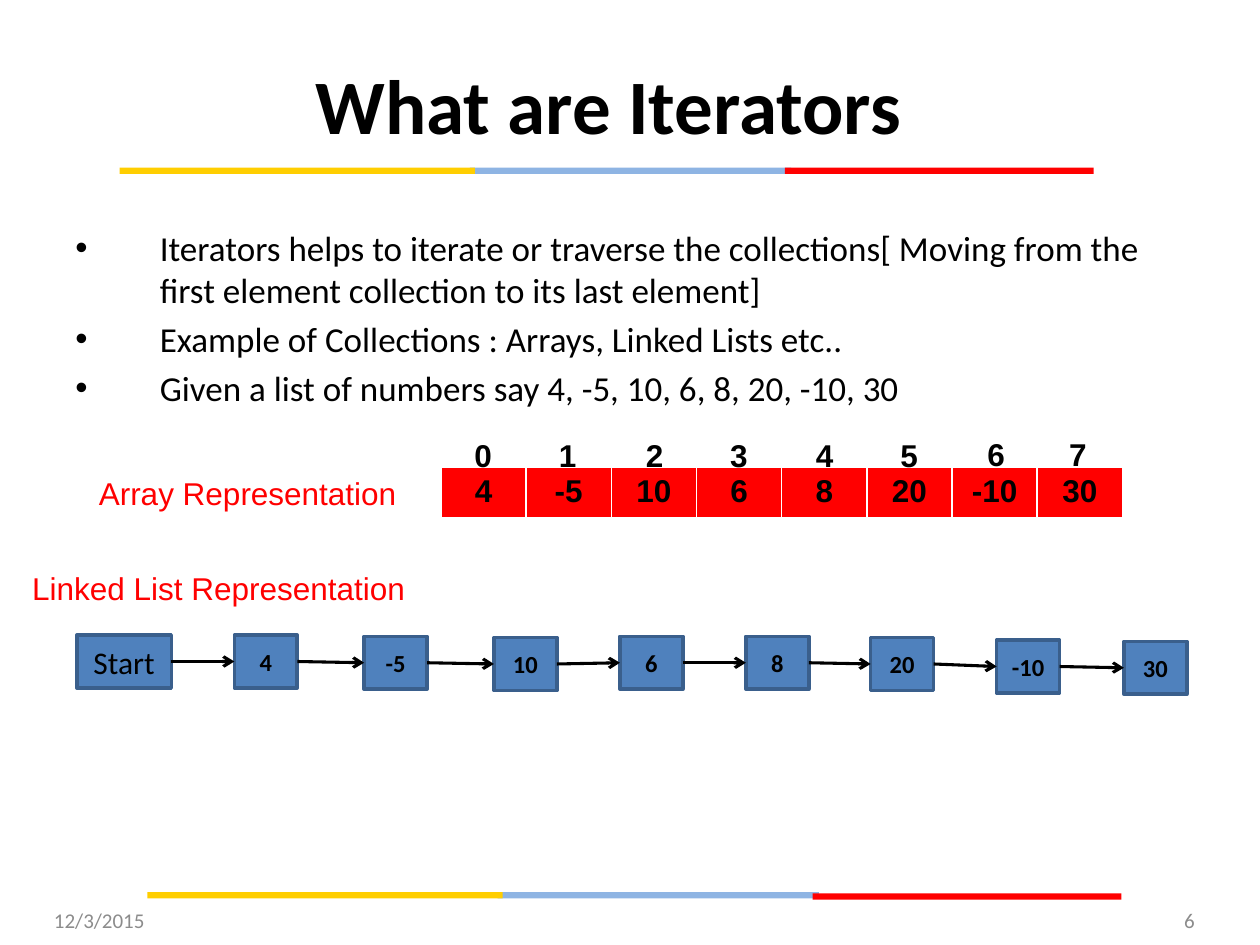
from lxml import etree
from pptx import Presentation
from pptx import util as u
from pptx.dml.color import RGBColor
from pptx.enum import shapes, text
from pptx.oxml import parse_xml
from pptx.oxml.ns import nsdecls, qn

COLORS = {"yellow": "FFCE00", "sky": "8EB4E3", "red": "FF0000", "black": "000000",
          "white": "FFFFFF", "node": "4F81BD", "edge": "3A5F8C", "grey": "8C8C8C"}
VALUES = ["4", "-5", "10", "6", "8", "20", "-10", "30"]
BULLETS = ["Iterators helps to iterate or traverse the collections[ Moving from the "
           "first element collection to its last element]",
           "Example of Collections : Arrays, Linked Lists etc..",
           "Given a list of numbers say 4, -5, 10, 6, 8, 20, -10, 30"]
W, H = u.Inches(10), u.Inches(7.5)
COLS, ROWS = 100, 75
LEFT, CENTER, RIGHT = text.PP_ALIGN.LEFT, text.PP_ALIGN.CENTER, text.PP_ALIGN.RIGHT
MIDDLE = text.MSO_ANCHOR.MIDDLE


def grid(x, y, w, h):
    """Turn grid columns and rows into slide lengths."""
    return int(W * x / COLS), int(H * y / ROWS), int(W * w / COLS), int(H * h / ROWS)


def rgb(name):
    """Look up a colour by name."""
    return RGBColor.from_string(COLORS[name])


def add_run(p, words, size, font="Calibri", color="black", bold=False, align=CENTER):
    """Add one styled run to a paragraph."""
    p.alignment = align
    r = p.add_run()
    r.text = words
    r.font.size, r.font.name, r.font.bold = u.Pt(size), font, bold
    r.font.color.rgb = rgb(color)


def add_text(s, box, words, size, wrap=True, grow=False, anchor=text.MSO_ANCHOR.TOP, **style):
    """Add a text box holding a single line of text."""
    tf = s.shapes.add_textbox(*grid(*box)).text_frame
    tf.word_wrap, tf.vertical_anchor = wrap, anchor
    if grow:
        tf.auto_size = text.MSO_AUTO_SIZE.SHAPE_TO_FIT_TEXT
    add_run(tf.paragraphs[0], words, size, **style)


def add_rect(s, box, fill, line=None):
    """Add a flat rectangle."""
    sp = s.shapes.add_shape(shapes.MSO_SHAPE.RECTANGLE, *grid(*box))
    sp.shadow.inherit = False
    sp.fill.solid()
    sp.fill.fore_color.rgb = rgb(fill)
    if line:
        sp.line.color.rgb = rgb(line)
        sp.line.width = u.Pt(2)
    else:
        sp.line.fill.background()
    return sp


def add_stripe(s, x, y, red_y):
    """Add a three-colour rule."""
    for dx, top, width, fill in [(27.8, y, 25.5, "sky"), (52.8, red_y, 24.5, "red"),
                                 (0, y, 28.2, "yellow")]:
        add_rect(s, (x + dx, top, width, 0.5), fill)


def add_bullets(s, box, items):
    """Add the bulleted body text."""
    tf = s.shapes.add_textbox(*grid(*box)).text_frame
    tf.word_wrap = True
    for i, item in enumerate(items):
        p = tf.add_paragraph() if i else tf.paragraphs[0]
        pPr = p._p.get_or_add_pPr()
        indent = grid(6.7, 0, 0, 0)[0]
        pPr.set("marL", str(indent))
        pPr.set("indent", str(-indent))
        etree.SubElement(pPr, qn("a:buFont")).set("typeface", "Arial")
        etree.SubElement(pPr, qn("a:buChar")).set("char", "•")
        p.space_before = u.Pt(4 if i else 0)
        add_run(p, item, 20, align=LEFT)


def add_array(s, box, values):
    """Add the one-row table of array values."""
    table = s.shapes.add_table(1, len(values), *grid(*box)).table
    table.first_row = table.horz_banding = False
    for cell, value in zip(table.rows[0].cells, values):
        tcPr = cell._tc.get_or_add_tcPr()
        for side, width in zip("LRTB", (1, 1, 1, 3)):
            tcPr.append(parse_xml(
                f'<a:ln{side} {nsdecls("a")} w="{u.Pt(width)}"><a:solidFill>'
                f'<a:srgbClr val="{COLORS["white"]}"/></a:solidFill></a:ln{side}>'))
        cell.fill.solid()
        cell.fill.fore_color.rgb = rgb("red")
        add_run(cell.text_frame.paragraphs[0], value, 18, "Arial", bold=True)


def add_node(s, box, words, size, bold):
    """Add one box of the linked list."""
    sp = add_rect(s, box, "node", "edge")
    sp.text_frame.vertical_anchor = MIDDLE
    add_run(sp.text_frame.paragraphs[0], words, size, bold=bold)
    return sp


def add_link(s, a, b):
    """Join two nodes with an arrow."""
    c = s.shapes.add_connector(shapes.MSO_CONNECTOR.STRAIGHT, 0, 0, 0, 0)
    c.begin_connect(a, 3)
    c.end_connect(b, 1)
    c.line.color.rgb = rgb("black")
    c.line.width = u.Pt(1.75)
    etree.SubElement(c.line._get_or_add_ln(), qn("a:tailEnd")).set("type", "arrow")
    etree.SubElement(c._element.spPr, qn("a:effectLst"))


def add_linked_list(s):
    """Add the start box, the value nodes and their arrows."""
    nodes = [add_node(s, (6.1, 50.4, 7.5, 4.2), "Start", 18, False)]
    lefts = [18.6, 28.9, 39.2, 49.2, 59.2, 69.1, 79.1, 89.2]
    tops = [50.4, 50.5, 50.6, 50.5, 50.5, 50.6, 50.8, 50.9]
    for x, y, value in zip(lefts, tops, VALUES):
        nodes.append(add_node(s, (x, y, 5, 4.2), value, 14, True))
    for a, b in zip(nodes, nodes[1:]):
        add_link(s, a, b)


def main():
    """Build the slide."""
    prs = Presentation()
    prs.slide_width, prs.slide_height = W, H
    s = prs.slides.add_slide(prs.slide_layouts[6])
    add_stripe(s, 9.5, 13.3, 13.3)
    add_stripe(s, 11.7, 70.8, 70.9)
    add_text(s, (3.3, 3.1, 90, 10.3), "What are Iterators", 44, anchor=MIDDLE, bold=True)
    add_bullets(s, (5, 17.5, 90, 16.7), BULLETS)
    label = dict(size=18, wrap=False, grow=True, font="Arial", color="red")
    add_text(s, (6.7, 37.1, 25.9, 4), "Array Representation", **label)
    add_text(s, (1.4, 44.7, 31.9, 4), "Linked List Representation", **label)
    add_array(s, (35, 37.1, 54.1, 4.1), VALUES)
    for i, x in enumerate([35, 41.7, 48.6, 55.3, 62.1, 68.8, 75.7, 82.2]):
        add_text(s, (x, 34.1 if i < 6 else 34, 6.7, 4), str(i), 18, grow=True,
                 font="Arial", bold=True)
    add_linked_list(s)
    footer = dict(size=12, anchor=MIDDLE, color="grey")
    add_text(s, (3.3, 71, 23.3, 4), "12/3/2015", align=LEFT, **footer)
    add_text(s, (72.5, 71, 23.3, 4), "6", align=RIGHT, **footer)
    prs.save("out.pptx")


if __name__ == "__main__":
    main()
